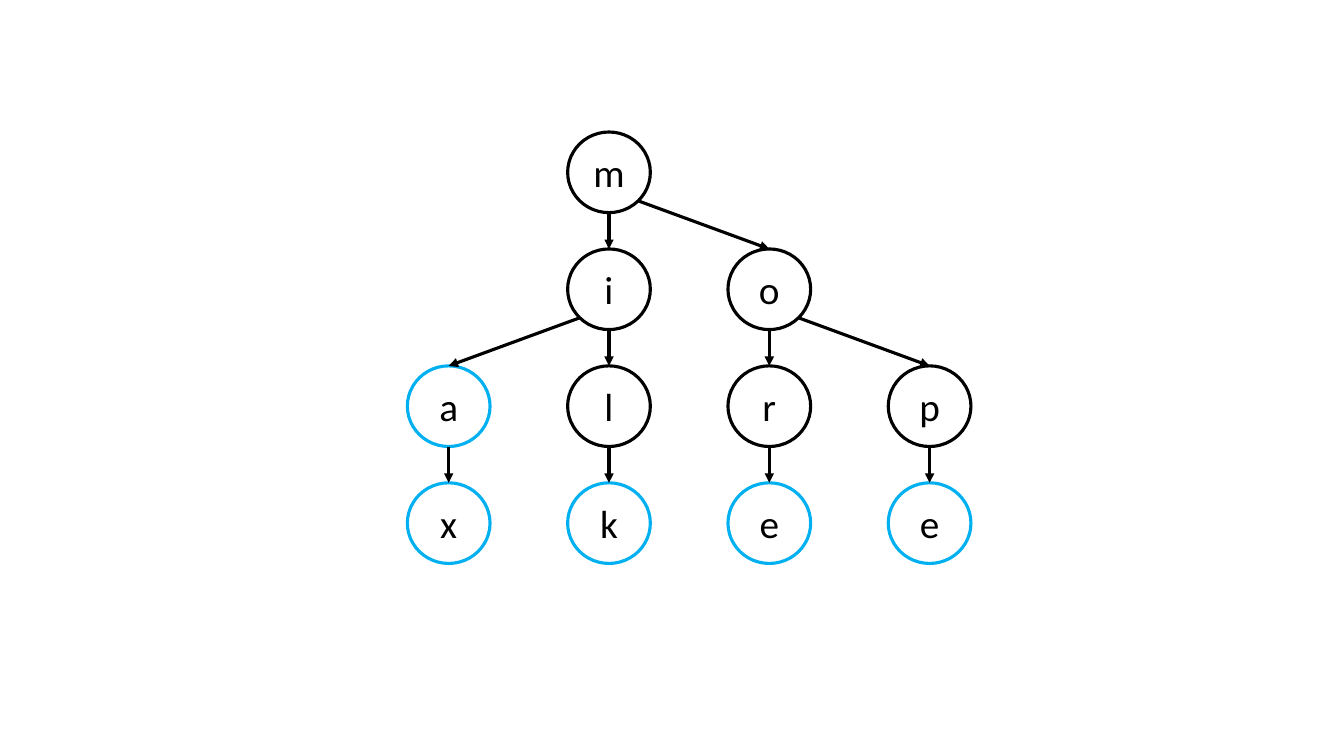
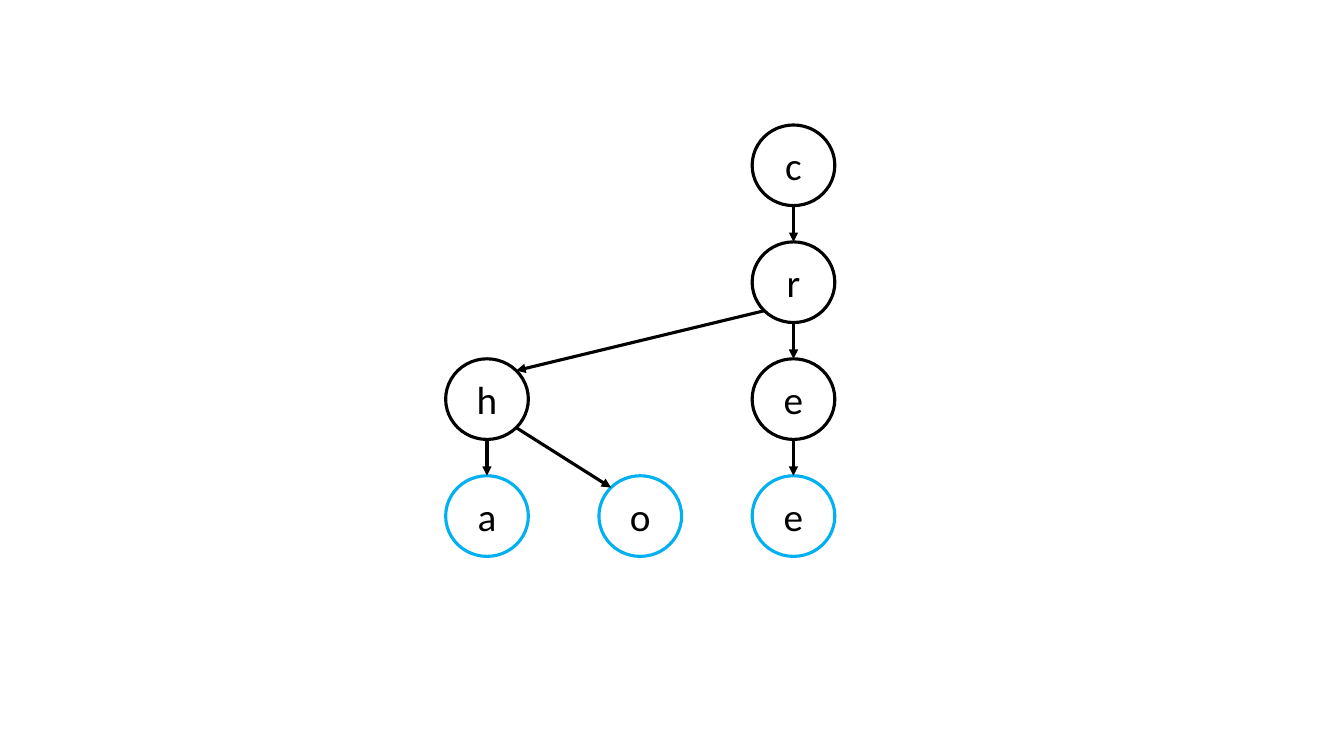
import math

import pptx
import pptx.dml.color
import pptx.enum.shapes
import pptx.enum.text
import pptx.oxml.ns
import pptx.oxml.xmlchemy
import pptx.util
from lxml import etree

# Content: each node is (letter, column, row, ends a word); edges join node keys
TREES = [
    {
        "left": 404, "top": 131, "column_step": 159, "side_arrows_end": "top",
        "nodes": {
            "m": ("m", 1, 0, False),
            "mi": ("i", 1, 1, False), "mo": ("o", 2, 1, False),
            "mia": ("a", 0, 2, True), "mil": ("l", 1, 2, False),
            "mor": ("r", 2, 2, False), "mop": ("p", 3, 2, False),
            "miax": ("x", 0, 3, True), "milk": ("k", 1, 3, True),
            "more": ("e", 2, 3, True), "mope": ("e", 3, 3, True),
        },
    },
    {
        "left": 442, "top": 124, "column_step": 152, "side_arrows_end": "corner",
        "nodes": {
            "c": ("c", 2, 0, False),
            "cr": ("r", 2, 1, False),
            "crh": ("h", 0, 2, False), "cre": ("e", 2, 2, False),
            "crha": ("a", 0, 3, True), "crho": ("o", 1, 3, True),
            "cree": ("e", 2, 3, True),
        },
    },
]

# Shared style, lengths in px (100 to the inch)
PX = 9144
SLIDE_WIDTH, SLIDE_HEIGHT = 1333, 750
NODE_WIDTH, NODE_HEIGHT = 82, 80
ROW_STEP = 116
COLORS = {"ink": "000000", "word_end": "00B0F0"}
FONT, FONT_SIZE, LINE_WIDTH = "Calibri", 28, 2.25

# Connection sites of an ellipse run anticlockwise from the top
TOP, TOP_LEFT, BOTTOM_LEFT, BOTTOM, BOTTOM_RIGHT, TOP_RIGHT = 0, 1, 3, 4, 5, 7


def rgb(name):
    return pptx.dml.color.RGBColor.from_string(COLORS[name])


def style_line(line, color):
    line.color.rgb = rgb(color)
    line.width = pptx.util.Pt(LINE_WIDTH)


def add_node(slide, tree, letter, column, row, ends_word):
    shape = slide.shapes.add_shape(
        pptx.enum.shapes.MSO_SHAPE.OVAL,
        (tree["left"] + column * tree["column_step"]) * PX,
        (tree["top"] + row * ROW_STEP) * PX,
        NODE_WIDTH * PX, NODE_HEIGHT * PX)
    shape.shadow.inherit = False
    shape.fill.background()
    style_line(shape.line, "word_end" if ends_word else "ink")
    text_frame = shape.text_frame
    text_frame.text = letter
    text_frame.vertical_anchor = pptx.enum.text.MSO_ANCHOR.MIDDLE
    paragraph = text_frame.paragraphs[0]
    paragraph.alignment = pptx.enum.text.PP_ALIGN.CENTER
    font = paragraph.runs[0].font
    font.name, font.size = FONT, pptx.util.Pt(FONT_SIZE)
    font.color.rgb = rgb("ink")
    return shape


def site_point(shape, site):
    angle = site * math.pi / 4
    return (round(shape.left + shape.width / 2 * (1 - math.sin(angle))),
            round(shape.top + shape.height / 2 * (1 - math.cos(angle))))


def add_arrow(slide, parent, child, side_arrows_end):
    if child.left == parent.left:
        start, end = BOTTOM, TOP
    elif child.left < parent.left:
        start, end = BOTTOM_LEFT, TOP_RIGHT
    else:
        start, end = BOTTOM_RIGHT, TOP_LEFT
    if side_arrows_end == "top":
        end = TOP
    connector = slide.shapes.add_connector(
        pptx.enum.shapes.MSO_CONNECTOR.STRAIGHT,
        *site_point(parent, start), *site_point(child, end))
    style_line(connector.line, "ink")

    # Arrowhead, no shadow, and glue to both nodes
    qn = pptx.oxml.ns.qn
    properties = connector._element.spPr
    etree.SubElement(properties.find(qn("a:ln")), qn("a:tailEnd"), type="triangle")
    etree.SubElement(properties, qn("a:effectLst"))
    glue = connector._element.find(".//" + qn("p:cNvCxnSpPr"))
    for tag, shape, site in (("a:stCxn", parent, start), ("a:endCxn", child, end)):
        etree.SubElement(glue, qn(tag), id=str(shape.shape_id), idx=str(site))


def build_tree(slide, tree):
    shapes = {key: add_node(slide, tree, *node) for key, node in tree["nodes"].items()}
    # A node's key is its prefix, so its parent is the key without the last letter
    for key, shape in shapes.items():
        if key[:-1] in shapes:
            add_arrow(slide, shapes[key[:-1]], shape, tree["side_arrows_end"])


def main():
    presentation = pptx.Presentation()
    presentation.slide_width = SLIDE_WIDTH * PX
    presentation.slide_height = SLIDE_HEIGHT * PX
    blank_layout = presentation.slide_layouts[6]
    for tree in TREES:
        build_tree(presentation.slides.add_slide(blank_layout), tree)
    presentation.save("out.pptx")


if __name__ == "__main__":
    main()
